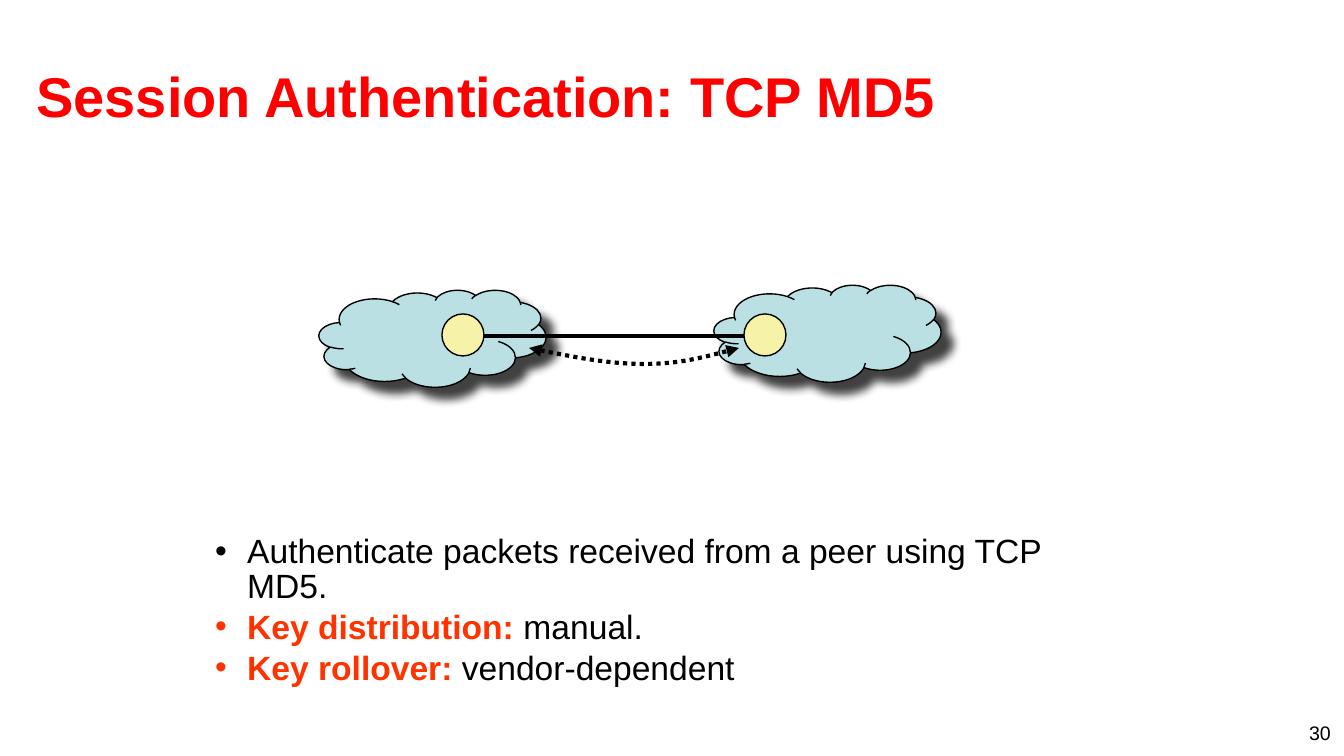
from pptx import Presentation
from pptx.dml.color import RGBColor
from pptx.enum.dml import MSO_LINE
from pptx.enum.shapes import MSO_CONNECTOR, MSO_SHAPE
from pptx.enum.text import MSO_ANCHOR, PP_ALIGN
from pptx.oxml import parse_xml
from pptx.oxml.ns import nsdecls, qn
from pptx.util import Emu, Pt
from lxml.etree import SubElement

EMU_PER_PX = 914400 / 134.4
FONT = "Arial"
BLACK = RGBColor(0x00, 0x00, 0x00)
RED = RGBColor(0xFF, 0x00, 0x00)
ORANGE = RGBColor(0xFF, 0x33, 0x00)
CLOUD_BLUE = RGBColor(0xBB, 0xE0, 0xE3)
ROUTER_YELLOW = RGBColor(0xF6, 0xF2, 0xA8)

BULLETS = [
    ("", "Authenticate packets received from a peer using TCP MD5."),
    ("Key distribution:", " manual."),
    ("Key rollover:", " vendor-dependent"),
]


def px(*lengths):
    """Turn pixel lengths into EMU."""
    return [Emu(round(length * EMU_PER_PX)) for length in lengths]


def format_span(span, size, color=BLACK, bold=False):
    """Set the font of one run."""
    span.font.name = FONT
    span.font.size = Pt(size)
    span.font.color.rgb = color
    span.font.bold = bold


def set_title(page, text):
    """Place and format the title placeholder."""
    title = page.shapes.title
    title.left, title.top, title.width, title.height = px(23, 32, 1288, 126)
    title.text_frame.text = text
    title.text_frame.vertical_anchor = MSO_ANCHOR.MIDDLE
    para = title.text_frame.paragraphs[0]
    para.alignment = PP_ALIGN.LEFT
    format_span(para.runs[0], 30, RED, True)


def add_text_box(page, *frame):
    """Add a wrapping text box and return its text frame."""
    box = page.shapes.add_textbox(*px(*frame))
    box.text_frame.word_wrap = True
    return box.text_frame


def add_bullets(page, items):
    """Add the bulleted list with highlighted lead words."""
    frame = add_text_box(page, 202, 530, 941, 176)
    for index, (lead, rest) in enumerate(items):
        para = frame.add_paragraph() if index else frame.paragraphs[0]
        para.line_spacing = 0.85
        para.space_before = Pt(3.6)
        indent = px(32)[0]
        properties = para._p.get_or_add_pPr()
        properties.set("marL", str(indent))
        properties.set("indent", str(-indent))
        SubElement(properties, qn("a:buFont"), typeface=FONT)
        SubElement(properties, qn("a:buChar"), char="•")
        for text, color, bold in ((lead, ORANGE, True), (rest, BLACK, False)):
            if text:
                span = para.add_run()
                span.text = text
                format_span(span, 18, color, bold)


def add_page_number(page, number):
    """Add the right-aligned page number."""
    para = add_text_box(page, 1031, 714, 313, 26).paragraphs[0]
    para.text = number
    para.alignment = PP_ALIGN.RIGHT
    format_span(para.runs[0], 10.5)


def add_outlined(page, kind, color, *frame):
    """Add a filled preset shape with a thin black outline."""
    shape = page.shapes.add_shape(kind, *px(*frame))
    shape.shadow.inherit = False
    shape.fill.solid()
    shape.fill.fore_color.rgb = color
    shape.line.color.rgb = BLACK
    shape.line.width = Pt(0.75)
    return shape


def add_cloud(page, left, top):
    """Add a network cloud with a soft shadow to the lower right."""
    cloud = add_outlined(page, MSO_SHAPE.CLOUD, CLOUD_BLUE, left, top, 227, 97)
    effects = cloud._element.spPr.find(qn("a:effectLst"))
    effects.append(parse_xml(
        f'<a:outerShdw {nsdecls("a")} blurRad="{Pt(5)}" dist="{Pt(8.5)}" '
        'dir="2700000" algn="ctr" rotWithShape="0"><a:srgbClr val="000000">'
        '<a:alpha val="75000"/></a:srgbClr></a:outerShdw>'))


def add_link(page, *ends):
    """Add the straight link between the routers."""
    link = page.shapes.add_connector(MSO_CONNECTOR.STRAIGHT, *px(*ends))
    link.line.color.rgb = BLACK
    link.line.width = Pt(2.25)
    SubElement(link._element.spPr, qn("a:effectLst"))


def add_dotted_curve(page, start, *points):
    """Add a dotted Bezier curve with an arrowhead at each end."""
    builder = page.shapes.build_freeform(*start, scale=EMU_PER_PX)
    builder.add_line_segments(points, close=False)
    curve = builder.convert_to_shape()
    outline = next(curve._element.iter(qn("a:path")))
    segments = outline.findall(qn("a:lnTo"))
    for first in range(0, len(segments), 3):
        bezier = SubElement(outline, qn("a:cubicBezTo"))
        for segment in segments[first:first + 3]:
            bezier.append(segment[0])
            outline.remove(segment)
    curve.shadow.inherit = False
    curve.fill.background()
    curve.line.color.rgb = BLACK
    curve.line.width = Pt(2.25)
    curve.line.dash_style = MSO_LINE.ROUND_DOT
    for end in ("a:headEnd", "a:tailEnd"):
        SubElement(curve.line._get_or_add_ln(), qn(end), type="triangle")


def main():
    """Build and save the slide."""
    deck = Presentation()
    deck.slide_width, deck.slide_height = px(1344, 756)
    page = deck.slides.add_slide(deck.slide_layouts[5])
    set_title(page, "Session Authentication: TCP MD5")
    add_bullets(page, BULLETS)
    add_page_number(page, "30")
    add_cloud(page, 714, 285)
    add_cloud(page, 319, 290)
    add_link(page, 479, 336, 747, 336)
    add_dotted_curve(page, (529, 348), (568, 356), (609, 364), (644, 364),
                     (679, 364), (709, 356), (739, 348))
    for left in (442, 744):
        add_outlined(page, MSO_SHAPE.OVAL, ROUTER_YELLOW, left, 314, 42, 42)
    deck.save("out.pptx")


if __name__ == "__main__":
    main()
